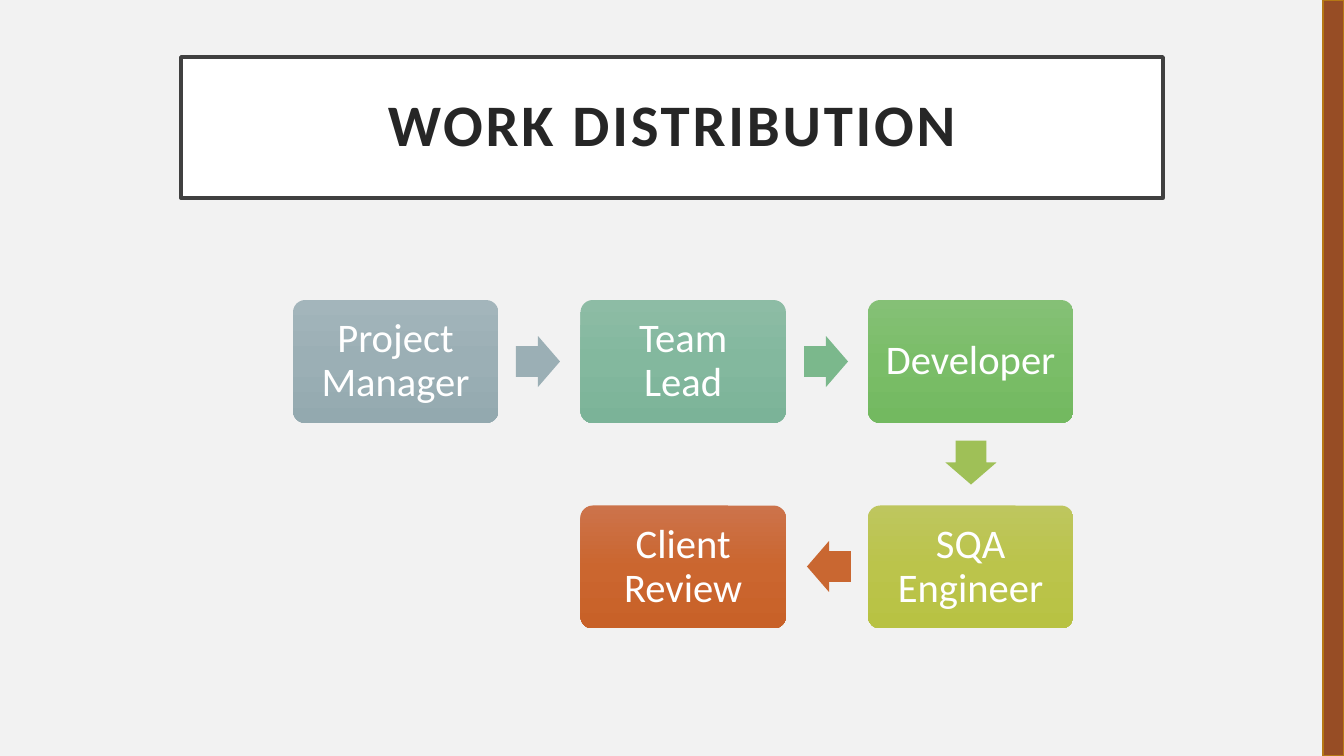
from copy import deepcopy
from pptx import Presentation
from pptx.dml.color import RGBColor
from pptx.enum.shapes import MSO_SHAPE
from pptx.enum.text import MSO_ANCHOR, PP_ALIGN
from pptx.util import Pt

PX = 914400 / 100.8
RECT, ROUND, ARROW = MSO_SHAPE.RECTANGLE, MSO_SHAPE.ROUNDED_RECTANGLE, MSO_SHAPE.RIGHT_ARROW
MIDDLE, CENTER = MSO_ANCHOR.MIDDLE, PP_ALIGN.CENTER
WHITE = RGBColor(0xFF, 0xFF, 0xFF)
PAPER = RGBColor(0xF2, 0xF2, 0xF2)
INK = RGBColor(0x26, 0x26, 0x26)
FRAME = RGBColor(0x40, 0x40, 0x40)
RUST = RGBColor(0x97, 0x4D, 0x25)
GOLD = RGBColor(0xB6, 0x78, 0x15)
SLATE = [RGBColor(0xA3, 0xB5, 0xBB), RGBColor(0x9B, 0xAF, 0xB5), RGBColor(0x93, 0xA9, 0xAF)]
TEAL = [RGBColor(0x8D, 0xBC, 0xA5), RGBColor(0x83, 0xB8, 0x9E), RGBColor(0x7B, 0xB3, 0x98)]
GREEN = [RGBColor(0x85, 0xC0, 0x76), RGBColor(0x7A, 0xBD, 0x68), RGBColor(0x73, 0xB9, 0x60)]
LIME = [RGBColor(0xBE, 0xC6, 0x5E), RGBColor(0xBB, 0xC4, 0x4B), RGBColor(0xB8, 0xC2, 0x43)]
ORANGE = [RGBColor(0xCC, 0x73, 0x4B), RGBColor(0xCB, 0x66, 0x2F), RGBColor(0xC8, 0x61, 0x28)]
FERN = RGBColor(0x7B, 0xB8, 0x8C)
LEAF = RGBColor(0x9F, 0xC0, 0x57)
EMBER = RGBColor(0xC9, 0x67, 0x31)


def add(kind, *box):
    shape = slide.shapes.add_shape(kind, *[round(v * PX) for v in box])
    shape.shadow.inherit = False
    shape.line.fill.background()
    return shape


def write(shape, text, size, color, inset):
    frame = shape.text_frame
    frame.text = text
    frame.word_wrap = True
    frame.vertical_anchor = MIDDLE
    frame.margin_left = frame.margin_right = round(inset * PX)
    frame.margin_top = frame.margin_bottom = round(inset * PX)
    para = frame.paragraphs[0]
    para.alignment = CENTER
    para.line_spacing = 0.9
    para.font.name = "Calibri"
    para.font.size = Pt(size)
    para.font.color.rgb = color
    return para


# Slide and background
deck = Presentation()
deck.slide_width, deck.slide_height = round(1344 * PX), round(756 * PX)
slide = deck.slides.add_slide(deck.slide_layouts[5])
slide.background.fill.solid()
slide.background.fill.fore_color.rgb = PAPER

# Framed title
title = slide.shapes.title
title.left, title.top = round(181 * PX), round(57 * PX)
title.width, title.height = round(982 * PX), round(141 * PX)
title.fill.solid()
title.fill.fore_color.rgb = WHITE
title.line.color.rgb = FRAME
title.line.width = Pt(2.5)
para = write(title, "WORK DISTRIBUTION", 42, INK, 20)
para.font.bold = True
para.runs[0].font._element.set("spc", "200")

# Right edge bar
bar = add(RECT, 1323, 0, 21, 756)
bar.fill.solid()
bar.fill.fore_color.rgb = RUST
bar.line.color.rgb = GOLD
bar.line.width = Pt(1)

# Steps on a grid: label, column, row, gradient
steps = [
    ("Project Manager", 0, 0, SLATE),
    ("Team Lead", 1, 0, TEAL),
    ("Developer", 2, 0, GREEN),
    ("SQA Engineer", 2, 1, LIME),
    ("Client Review", 1, 1, ORANGE),
]
for label, col, row, shades in steps:
    step = add(ROUND, 293 + 287.5 * col, 300 + 205.5 * row, 205.5, 123)
    step.adjustments[0] = 0.1
    step.fill.gradient()
    step.fill.gradient_angle = 270
    first = step.fill.gradient_stops[0]._gs
    first.addnext(deepcopy(first))
    for stop, shade, place in zip(step.fill.gradient_stops, shades, (0, 0.5, 1)):
        stop.color.rgb = shade
        stop.position = place
    write(step, label, 29, WHITE, 12)

# Arrows between steps: left, top, turn, colour
arrows = [
    (516, 336, 0, SLATE[1]),
    (804, 336, 0, FERN),
    (949, 437, 90, LEAF),
    (807, 541, 180, EMBER),
]
for left, top, turn, color in arrows:
    arrow = add(ARROW, left, top, 44, 51)
    arrow.adjustments[0] = 0.6
    arrow.rotation = turn
    arrow.fill.solid()
    arrow.fill.fore_color.rgb = color

deck.save("out.pptx")
